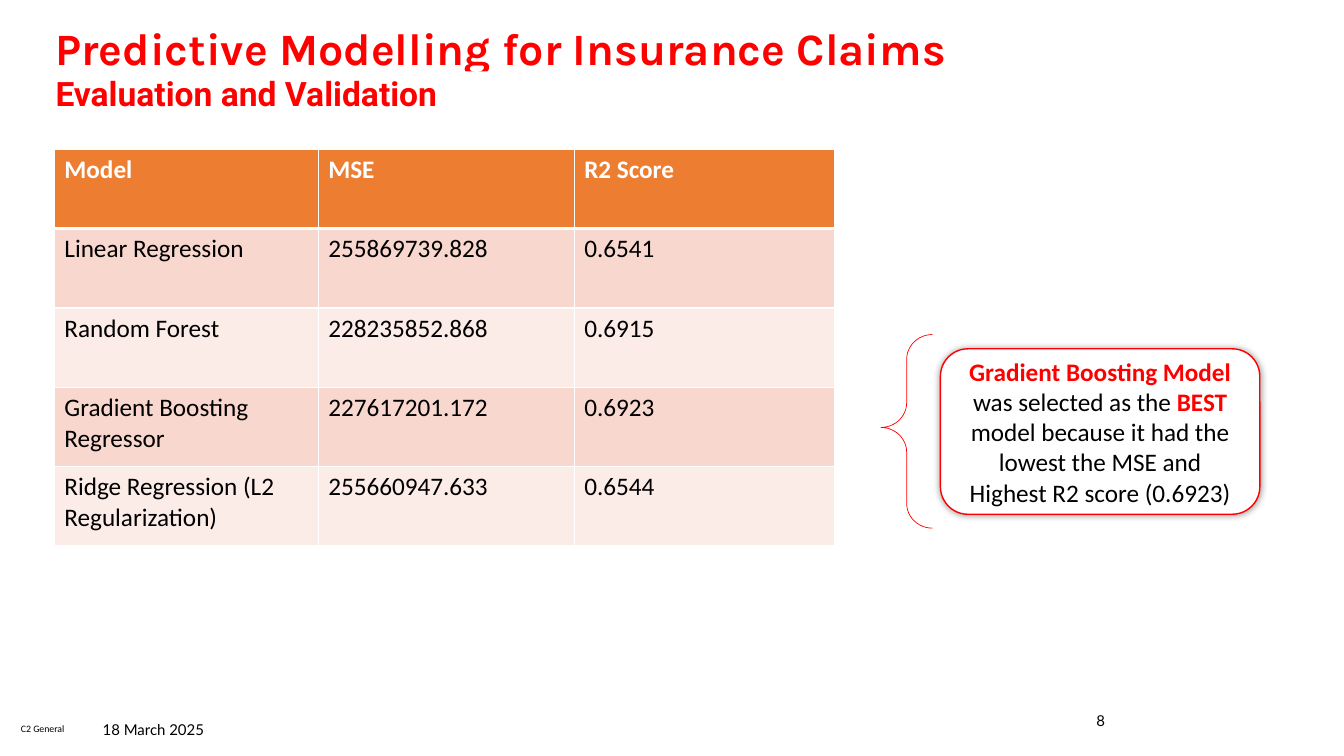
from dataclasses import dataclass, field

from lxml.etree import SubElement
from pptx import Presentation
from pptx.dml.color import RGBColor
from pptx.enum.shapes import MSO_SHAPE
from pptx.enum.text import MSO_ANCHOR, MSO_AUTO_SIZE, PP_ALIGN
from pptx.oxml.ns import qn
from pptx.shapes.autoshape import Shape
from pptx.slide import Slide
from pptx.table import _Cell
from pptx.text.text import TextFrame
from pptx.util import Cm, Length, Pt


@dataclass(frozen=True)
class Style:
    font: str
    size: float
    color: str = "000000"
    bold: bool = False


@dataclass(frozen=True)
class Theme:
    white: str = "FFFFFF"
    red: str = "FF0000"
    header_fill: str = "ED7D31"
    band_fills: tuple[str, str] = ("F8D7CE", "FCECE8")
    title: Style = Style("Karla", 32, "FF0000", True)
    subtitle: Style = Style("Roboto", 24, "FF0000", True)
    header: Style = Style("Calibri", 18, "FFFFFF", True)
    body: Style = Style("Calibri", 18)
    emphasis: Style = Style("Calibri", 18, "FF0000", True)
    footer: Style = Style("Lato", 10.7)
    label: Style = Style("Calibri", 7)


@dataclass(frozen=True)
class Box:
    left: float
    top: float
    width: float
    height: float

    def lengths(self) -> tuple[Length, ...]:
        return Cm(self.left), Cm(self.top), Cm(self.width), Cm(self.height)


@dataclass(frozen=True)
class FooterItem:
    words: str
    box: Box
    style: Style
    layout: dict = field(default_factory=dict)
    align: PP_ALIGN = PP_ALIGN.LEFT


THEME = Theme()
CENTRED = {"vertical_anchor": MSO_ANCHOR.MIDDLE, "word_wrap": True,
           "auto_size": MSO_AUTO_SIZE.NONE}
MARGINS = ("margin_left", "margin_top", "margin_right", "margin_bottom")

FOOTER = (
    FooterItem("C2 General", Box(0.53, 18.21, 1.17, 0.3), THEME.label,
               dict.fromkeys(MARGINS, 0)),
    FooterItem("18 March 2025", Box(2.34, 17.88, 7.62, 1.02), THEME.footer, CENTRED),
    FooterItem("8", Box(23.93, 17.65, 7.62, 1.02), THEME.footer, CENTRED,
               PP_ALIGN.CENTER),
)
SCORES = (
    ("Model", "MSE", "R2 Score"),
    ("Linear Regression", "255869739.828", "0.6541"),
    ("Random Forest", "228235852.868", "0.6915"),
    ("Gradient Boosting Regressor", "227617201.172", "0.6923"),
    ("Ridge Regression (L2 Regularization)", "255660947.633", "0.6544"),
)
COLUMN_WIDTHS = (6.65, 6.45, 6.55)
ROW_HEIGHT = 2
CONCLUSION = (
    ("Gradient Boosting Model ", THEME.emphasis),
    ("was selected as the ", THEME.body),
    ("BEST", THEME.emphasis),
    (" model because it had the lowest the MSE and Highest R2 score (0.6923)",
     THEME.body),
)


def apply(target: object, values: dict) -> None:
    for name, value in values.items():
        setattr(target, name, value)


def write(frame: TextFrame, runs: tuple[tuple[str, Style], ...],
          align: PP_ALIGN = PP_ALIGN.LEFT, line_spacing: float = 1.0) -> None:
    paragraph = frame.paragraphs[0]
    apply(paragraph, {"alignment": align, "line_spacing": line_spacing})
    for words, style in runs:
        run = paragraph.add_run()
        run.text = words
        apply(run.font, {"name": style.font, "size": Pt(style.size),
                         "bold": style.bold})
        run.font.color.rgb = RGBColor.from_string(style.color)


def add_panel(slide: Slide, kind: MSO_SHAPE, box: Box, fill: str | None = None,
              line: str | None = None, weight: float = 1) -> Shape:
    panel = slide.shapes.add_shape(kind, *box.lengths())
    panel.shadow.inherit = False
    if fill:
        panel.fill.solid()
        panel.fill.fore_color.rgb = RGBColor.from_string(fill)
    else:
        panel.fill.background()
    if line:
        panel.line.color.rgb = RGBColor.from_string(line)
        panel.line.width = Pt(weight)
    else:
        panel.line.fill.background()
    return panel


def add_glow_shadow(panel: Shape) -> None:
    effects = panel.element.spPr.find(qn("a:effectLst"))
    shadow = SubElement(effects, qn("a:outerShdw"), blurRad=str(Pt(5)), dist="0",
                        dir="0", algn="ctr", rotWithShape="0")
    color = SubElement(shadow, qn("a:srgbClr"), val="000000")
    SubElement(color, qn("a:alpha"), val="40000")


def format_cell(cell: _Cell, fill: str, top: float, bottom: float) -> None:
    properties = cell._tc.get_or_add_tcPr()
    for side, weight in {"lnL": 1, "lnR": 1, "lnT": top, "lnB": bottom}.items():
        border = SubElement(properties, qn(f"a:{side}"), w=str(Pt(weight)))
        paint = SubElement(border, qn("a:solidFill"))
        SubElement(paint, qn("a:srgbClr"), val=THEME.white)
    cell.fill.solid()
    cell.fill.fore_color.rgb = RGBColor.from_string(fill)


def add_scores(slide: Slide) -> None:
    box = Box(1.37, 3.76, sum(COLUMN_WIDTHS), ROW_HEIGHT * len(SCORES))
    scores = slide.shapes.add_table(len(SCORES), len(COLUMN_WIDTHS),
                                    *box.lengths()).table
    for column, width in zip(scores.columns, COLUMN_WIDTHS):
        column.width = Cm(width)
    for row, values in enumerate(SCORES):
        is_header = row == 0
        fill = THEME.header_fill if is_header else THEME.band_fills[(row - 1) % 2]
        style = THEME.header if is_header else THEME.body
        for column, value in enumerate(values):
            cell = scores.cell(row, column)
            format_cell(cell, fill, 3 if row == 1 else 1, 3 if is_header else 1)
            write(cell.text_frame, ((value, style),))


def add_headings(slide: Slide) -> None:
    title = slide.shapes.title
    place = Box(1.14, 0.48, 30.4, 1.6).lengths()
    apply(title, dict(zip(("left", "top", "width", "height"), place)))
    apply(title.text_frame, CENTRED)
    write(title.text_frame,
          (("Predictive Modelling for Insurance Claims", THEME.title),),
          line_spacing=0.9)
    subtitle = add_panel(slide, MSO_SHAPE.RECTANGLE, Box(1.37, 1.8, 17.15, 1.22),
                         THEME.white)
    apply(subtitle.text_frame, CENTRED | dict.fromkeys(MARGINS, Cm(0.03)))
    write(subtitle.text_frame, (("Evaluation and Validation", THEME.subtitle),),
          line_spacing=0.9)


def add_conclusion(slide: Slide) -> None:
    brace = add_panel(slide, MSO_SHAPE.LEFT_BRACE, Box(22.2, 8.43, 1.3, 4.88),
                      line=THEME.red, weight=0.5)
    brace.adjustments[0] = brace.adjustments[1] = 0.48
    conclusion = add_panel(slide, MSO_SHAPE.ROUNDED_RECTANGLE,
                           Box(23.7, 8.79, 8.05, 4.17), THEME.white, THEME.red)
    add_glow_shadow(conclusion)
    apply(conclusion.text_frame, CENTRED)
    write(conclusion.text_frame, CONCLUSION, PP_ALIGN.CENTER)


def add_footer(slide: Slide) -> None:
    for item in FOOTER:
        frame = slide.shapes.add_textbox(*item.box.lengths()).text_frame
        apply(frame, item.layout)
        write(frame, ((item.words, item.style),), item.align)


def main() -> None:
    deck = Presentation()
    apply(deck, {"slide_width": Cm(33.87), "slide_height": Cm(19.05)})
    slide = deck.slides.add_slide(deck.slide_layouts[5])
    add_headings(slide)
    add_scores(slide)
    add_conclusion(slide)
    add_footer(slide)
    deck.save("out.pptx")


if __name__ == "__main__":
    main()
